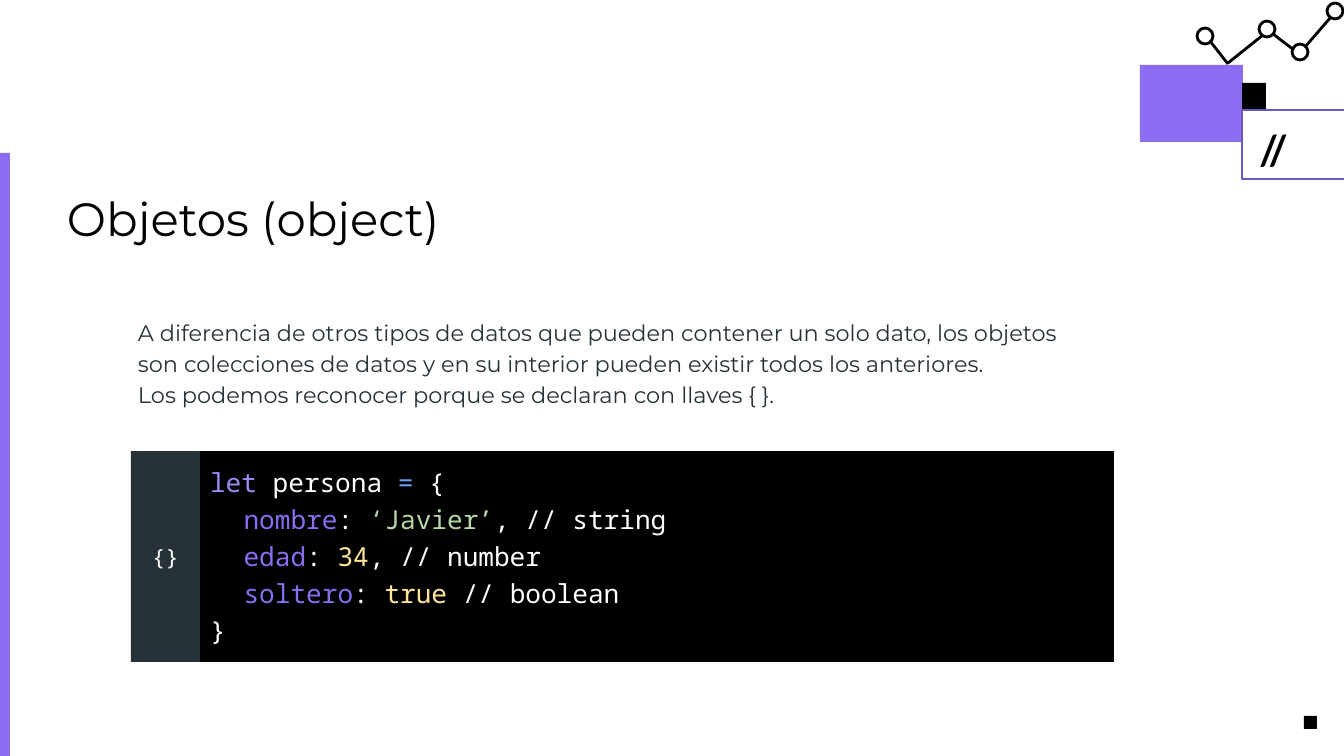
from lxml.etree import SubElement
from pptx import Presentation
from pptx.dml.color import RGBColor
from pptx.enum.shapes import MSO_CONNECTOR, MSO_SHAPE
from pptx.enum.text import MSO_ANCHOR, MSO_AUTO_SIZE, PP_ALIGN
from pptx.oxml.ns import qn
from pptx.util import Emu, Pt

PX = 914400 / 67.2
BLACK = RGBColor(0x00, 0x00, 0x00)
WHITE = RGBColor(0xFF, 0xFF, 0xFF)
PURPLE = RGBColor(0x8A, 0x6D, 0xF1)
DARK_PURPLE = RGBColor(0x6E, 0x57, 0xC1)
LILAC = RGBColor(0xA1, 0x8A, 0xF4)
SLATE = RGBColor(0x26, 0x32, 0x38)
BLUE = RGBColor(0x6D, 0x9E, 0xEB)
GREEN = RGBColor(0xB6, 0xD7, 0xA8)
YELLOW = RGBColor(0xFF, 0xE5, 0x99)

SANS = "Montserrat"
MONO = "Noto Sans Mono"
LINE_WIDTH = Pt(3)
TAB = 67


def px(value):
    return Emu(round(value * PX))


class SlideBuilder:
    """Holds the current slide and draws each kind of element in its style."""

    def __init__(self, slide):
        self.slide = slide

    def box(self, bounds, fill=None, line=None, kind=MSO_SHAPE.RECTANGLE):
        shape = self.slide.shapes.add_shape(kind, *map(px, bounds))
        shape.shadow.inherit = False
        if fill is None:
            shape.fill.background()
        else:
            shape.fill.solid()
            shape.fill.fore_color.rgb = fill
        if line is None:
            shape.line.fill.background()
        else:
            shape.line.color.rgb = line
            shape.line.width = LINE_WIDTH
        return shape

    def line(self, x1, y1, x2, y2):
        connector = self.slide.shapes.add_connector(
            MSO_CONNECTOR.STRAIGHT, px(x1), px(y1), px(x2), px(y2))
        connector.line.color.rgb = BLACK
        connector.line.width = LINE_WIDTH
        SubElement(connector._element.spPr, qn("a:effectLst"))

    def text(self, shape, paragraphs, font, insets=(7, 7, 7, 7),
             anchor=MSO_ANCHOR.TOP, tab=None, **paragraph_format):
        """Each paragraph is a list of (text, colour) runs."""
        frame = shape.text_frame
        frame.auto_size = MSO_AUTO_SIZE.NONE
        frame.word_wrap = True
        frame.vertical_anchor = anchor
        for side, inset in zip(("left", "top", "right", "bottom"), insets):
            setattr(frame, f"margin_{side}", px(inset))
        values = {"alignment": PP_ALIGN.LEFT, "space_before": Pt(0), **paragraph_format}
        for index, runs in enumerate(paragraphs):
            paragraph = frame.add_paragraph() if index else frame.paragraphs[0]
            properties = paragraph._p.get_or_add_pPr()
            properties.set("marL", "0")
            properties.set("indent", "0")
            SubElement(properties, qn("a:buNone"))
            if tab:
                tabs = SubElement(properties, qn("a:tabLst"))
                SubElement(tabs, qn("a:tab"), pos=str(px(tab)), algn="l")
            for name, value in values.items():
                setattr(paragraph, name, value)
            if index == 0:
                paragraph.space_before = Pt(0)
            for content, colour in runs:
                run = paragraph.add_run()
                run.text = content
                run.font.color.rgb = colour
                for name, value in font.items():
                    setattr(run.font, name, value)

    def text_box(self, bounds, paragraphs, font):
        shape = self.slide.shapes.add_textbox(*map(px, bounds))
        self.text(shape, paragraphs, font)

    def placeholder(self, index, bounds, paragraphs, font, **options):
        shape = self.slide.placeholders[index]
        shape.left, shape.top, shape.width, shape.height = map(px, bounds)
        self.text(shape, paragraphs, font, **options)


def main():
    presentation = Presentation()
    presentation.slide_width, presentation.slide_height = px(1344), px(756)
    slide = presentation.slides.add_slide(presentation.slide_layouts[1])
    builder = SlideBuilder(slide)

    # Left bar and corner mark
    builder.box((0, 153, 10, 603), PURPLE)
    builder.box((1304, 716, 13, 13), BLACK)

    # Line graph ornament
    for segment in ((1210, 41, 1228, 64), (1228, 63, 1263, 35),
                    (1273, 34, 1294, 50), (1305, 47, 1331, 17)):
        builder.line(*segment)
    for left, top in ((1197, 28), (1259, 21), (1292, 44), (1327, 3)):
        builder.box((left, top, 16, 16), line=BLACK, kind=MSO_SHAPE.OVAL)

    # Corner blocks
    builder.box((1140, 65, 103, 77), PURPLE)
    builder.box((1242, 110, 103, 69), line=DARK_PURPLE)
    builder.box((1242, 83, 24, 26), BLACK)
    builder.text_box((1252, 117, 84, 63), [[("//", BLACK)]],
                     {"name": "Lato", "size": Pt(44), "bold": True})

    # Title and explanation
    builder.placeholder(0, (67, 183, 1218, 56), [[("Objetos (object)", BLACK)]],
                        {"name": SANS, "size": Pt(50)}, insets=(0, 7, 7, 7))
    explanation = (
        "A diferencia de otros tipos de datos que pueden contener un solo dato, "
        "los objetos son colecciones de datos y en su interior pueden existir "
        "todos los anteriores.",
        "Los podemos reconocer porque se declaran con llaves { }.",
    )
    builder.placeholder(1, (138, 315, 940, 90), [[(line, SLATE)] for line in explanation],
                        {"name": SANS, "size": Pt(24)}, insets=(0, 0, 0, 0),
                        line_spacing=1.15)

    # Code panel
    members = (("nombre", "‘Javier’", GREEN, ", // string"),
               ("edad", "34", YELLOW, ", // number"),
               ("soltero", "true ", YELLOW, "// boolean"))
    code = [[("let ", LILAC), ("persona ", WHITE), ("= ", BLUE), ("{", WHITE)]]
    code += [[("\t", WHITE), (key, PURPLE), (": ", WHITE), (value, colour), (comment, WHITE)]
             for key, value, colour, comment in members]
    code.append([("}", WHITE)])
    panel = builder.box((200, 451, 914, 211), BLACK)
    builder.text(panel, code, {"name": MONO, "size": Pt(28)}, insets=(10, 6, 7, 7),
                 anchor=MSO_ANCHOR.MIDDLE, tab=TAB, space_before=Pt(6))
    label = builder.box((131, 451, 69, 211), SLATE)
    builder.text(label, [[("{}", WHITE)]], {"name": MONO, "size": Pt(24)},
                 anchor=MSO_ANCHOR.MIDDLE, alignment=PP_ALIGN.CENTER)

    presentation.save("out.pptx")


if __name__ == "__main__":
    main()
